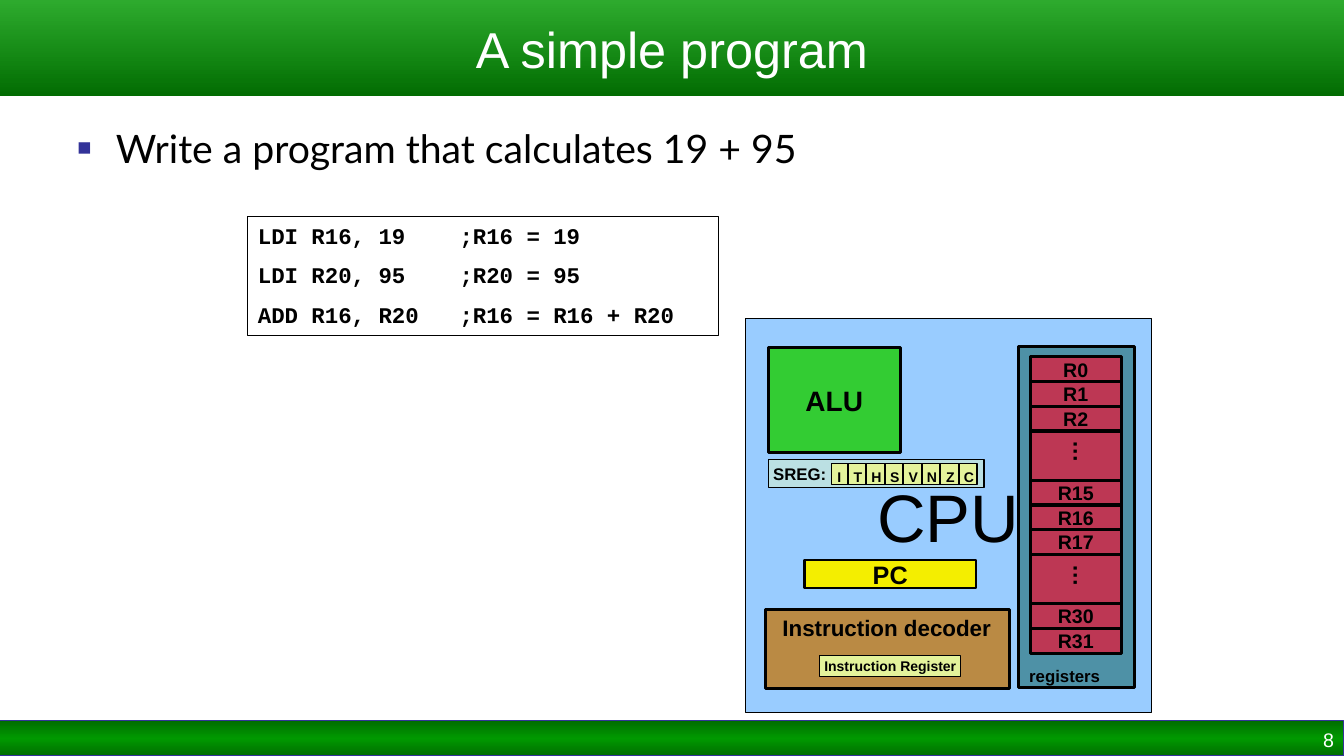
from copy import deepcopy
from dataclasses import dataclass

from lxml import etree
from pptx import Presentation
from pptx.dml.color import RGBColor
from pptx.enum import shapes, text
from pptx.oxml import ns
from pptx.util import Inches, Pt


@dataclass(frozen=True)
class Theme:
    black: str = "000000"
    white: str = "FFFFFF"
    green: str = "009900"
    dark_green: str = "006D00"
    accent: str = "333399"
    cpu: str = "99CCFF"
    alu: str = "33CC33"
    counter: str = "F4EE00"
    bank: str = "4E91A6"
    register: str = "BD3754"
    decoder: str = "BA8A44"
    cell: str = "E4F39B"
    status: str = "BBE0E3"
    sans: str = "Arial"
    body: str = "Lato"
    mono: str = "Courier New"
    title_size: int = 36
    body_size: int = 28
    cpu_size: int = 48
    alu_size: int = 20
    counter_size: int = 18
    code_size: int = 16
    register_size: int = 14
    caption_size: int = 12
    flag_size: int = 10


THEME = Theme()
LEFT, CENTER, RIGHT = text.PP_ALIGN.LEFT, text.PP_ALIGN.CENTER, text.PP_ALIGN.RIGHT
TOP, MIDDLE = text.MSO_ANCHOR.TOP, text.MSO_ANCHOR.MIDDLE


def add_xml(parent, tag, **attributes):
    return etree.SubElement(parent, ns.qn(tag), attributes)


def place(shape, area):
    for name, value in zip(("left", "top", "width", "height"), area):
        setattr(shape, name, Inches(value))


def fill_gradient(shape, stops):
    """Fill from top to bottom with (percent, colour, opacity percent) stops."""
    shape.fill.gradient()
    shape.fill.gradient_angle = 270
    stop_list = shape._element.spPr.find(".//" + ns.qn("a:gsLst"))
    for old in list(stop_list):
        stop_list.remove(old)
    for position, color, opacity in stops:
        stop = add_xml(stop_list, "a:gs", pos=str(position * 1000))
        value = add_xml(stop, "a:srgbClr", val=color)
        if opacity < 100:
            add_xml(value, "a:alpha", val=str(opacity * 1000))


def write(shape, lines, size, font=THEME.sans, color=THEME.black, bold=True,
          align=LEFT, anchor=TOP, wrap=True, gap=0):
    frame = shape.text_frame
    frame.word_wrap = wrap
    frame.vertical_anchor = anchor
    frame.text = lines
    style = {"name": font, "size": Pt(size), "bold": bold}
    for index, para in enumerate(frame.paragraphs):
        para.alignment = align
        if index and gap:
            para.space_before = Pt(gap)
        for span in para.runs:
            for name, value in style.items():
                setattr(span.font, name, value)
            span.font.color.rgb = RGBColor.from_string(color)
    return frame


def add_box(parent, area, fill=None, weight=2.25, line=THEME.black):
    box = parent.shapes.add_shape(shapes.MSO_SHAPE.RECTANGLE, *map(Inches, area))
    box.shadow.inherit = False
    if fill:
        box.fill.solid()
        box.fill.fore_color.rgb = RGBColor.from_string(fill)
    else:
        box.fill.background()
    box.line.color.rgb = RGBColor.from_string(line)
    box.line.width = Pt(weight)
    return box


def add_block(parent, area, fill, label, size, weight=2.25, bold=True):
    """Add a filled box with a centred one-line label."""
    box = add_box(parent, area, fill, weight)
    write(box, label, size, bold=bold, align=CENTER, anchor=MIDDLE, wrap=False)


def add_text(parent, area, lines, size, **style):
    box = parent.shapes.add_textbox(*map(Inches, area))
    write(box, lines, size, **style)
    return box


def add_line(parent, start, end, weight):
    line = parent.shapes.add_connector(
        shapes.MSO_CONNECTOR.STRAIGHT, *map(Inches, start + end))
    line.line.color.rgb = RGBColor.from_string(THEME.black)
    line.line.width = Pt(weight)
    add_xml(line._element.spPr, "a:effectLst")


def add_bullet(para):
    props = para._p.get_or_add_pPr()
    props.set("marL", str(Inches(0.38)))
    props.set("indent", str(Inches(-0.38)))
    add_xml(add_xml(props, "a:buClr"), "a:srgbClr", val=THEME.accent)
    add_xml(props, "a:buSzPct", val="60000")
    add_xml(props, "a:buFont", typeface=THEME.sans)
    add_xml(props, "a:buChar", char="■")


def add_frame(page):
    """Add the title band and the footer band with the page number."""
    title = page.shapes.title
    place(title, (0, 0, 13.33, 0.95))
    fill_gradient(title, [(0, THEME.green, 82), (100, THEME.dark_green, 100)])
    write(title, "A simple program", THEME.title_size, color=THEME.white,
          bold=False, align=CENTER, anchor=MIDDLE)
    footer = add_box(page, (0, 7.15, 13.33, 0.35), weight=0.75, line=THEME.accent)
    fill_gradient(footer, [(0, THEME.dark_green, 100), (50, THEME.green, 100),
                           (100, THEME.dark_green, 100)])
    add_text(page, (10.22, 7.17, 3.11, 0.33), "8", THEME.register_size,
             color=THEME.white, bold=False, align=RIGHT)


def add_code(page):
    box = add_box(page, (2.46, 2.15, 4.67, 1.18), weight=0.75)
    code = "LDI R16, 19\t;R16 = 19\nLDI R20, 95\t;R20 = 95\nADD R16, R20\t;R16 = R16 + R20"
    frame = write(box, code, THEME.code_size, font=THEME.mono, gap=9)
    tabs = etree.Element(ns.qn("a:tabLst"))
    add_xml(tabs, "a:tab", pos=str(Inches(2)), algn="l")
    for para in frame.paragraphs:
        para._p.get_or_add_pPr().append(deepcopy(tabs))


def add_registers(cpu):
    add_box(cpu, (10.1, 3.44, 1.15, 3.38), THEME.bank)
    add_text(cpu, (10.11, 6.56, 1.14, 0.3), "registers", THEME.caption_size)
    left, right, top, bottom = 10.22, 11.12, 3.54, 6.36
    for start, end in (((left, top), (left, bottom)), ((right, top), (right, bottom)),
                       ((left, top), (right, top))):
        add_line(cpu, start, end, 2.25)
    unit = 2.94 / 12
    for name in ("R0", "R1", "R2", "…", "R15", "R16", "R17", "…", "R30", "R31"):
        height = 2 * unit if name == "…" else unit
        area = (left, top, right - left, height)
        if name == "…":
            add_box(cpu, area, THEME.register)
            dots = add_text(cpu, (10.49, top + 0.06, 0.49, 0.37), name, THEME.code_size)
            dots.rotation = 90
        else:
            add_block(cpu, area, THEME.register, name, THEME.register_size)
        top += height


def add_status(cpu):
    add_box(cpu, (7.62, 4.56, 2.14, 0.28), THEME.status, 0.75)
    add_text(cpu, (7.57, 4.55, 0.88, 0.3), "SREG:", THEME.caption_size)
    add_box(cpu, (8.25, 4.6, 1.44, 0.21), THEME.cell, 1)
    pitch = 1.1 / 6
    for index, flag in enumerate("ITHSVNZC"):
        if index:
            x = 8.41 + (index - 1) * pitch
            add_line(cpu, (x, 4.6), (x, 4.81), 1.5)
        label = add_text(cpu, (8.2 + index * pitch, 4.6, 0.25, 0.27), flag,
                         THEME.flag_size, align=CENTER)
        label.text_frame.margin_left = label.text_frame.margin_right = 0


def add_cpu(page):
    cpu = page.shapes.add_group_shape()
    add_block(cpu, (7.39, 3.16, 4.03, 3.91), THEME.cpu, "CPU", THEME.cpu_size, 0.75, False)
    add_block(cpu, (7.98, 5.56, 1.7, 0.27), THEME.counter, "PC", THEME.counter_size, 1.5)
    add_block(cpu, (7.62, 3.45, 1.31, 1.04), THEME.alu, "ALU", THEME.alu_size)
    add_registers(cpu)
    add_box(cpu, (7.59, 6.05, 2.42, 0.78), THEME.decoder)
    add_block(cpu, (8.13, 6.5, 1.4, 0.21), THEME.cell, "Instruction Register",
              THEME.flag_size, 1)
    add_text(cpu, (7.64, 6.04, 2.31, 0.37), "Instruction decoder", THEME.code_size,
             align=CENTER)
    add_status(cpu)


def main():
    deck = Presentation()
    deck.slide_width, deck.slide_height = Inches(13.33), Inches(7.5)
    page = deck.slides.add_slide(deck.slide_layouts[5])
    add_frame(page)
    task = add_text(page, (0.67, 1.18, 12.17, 5.89), "Write a program that calculates 19 + 95",
                    THEME.body_size, font=THEME.body, bold=False)
    add_bullet(task.text_frame.paragraphs[0])
    add_code(page)
    add_cpu(page)
    deck.save("out.pptx")


if __name__ == "__main__":
    main()
